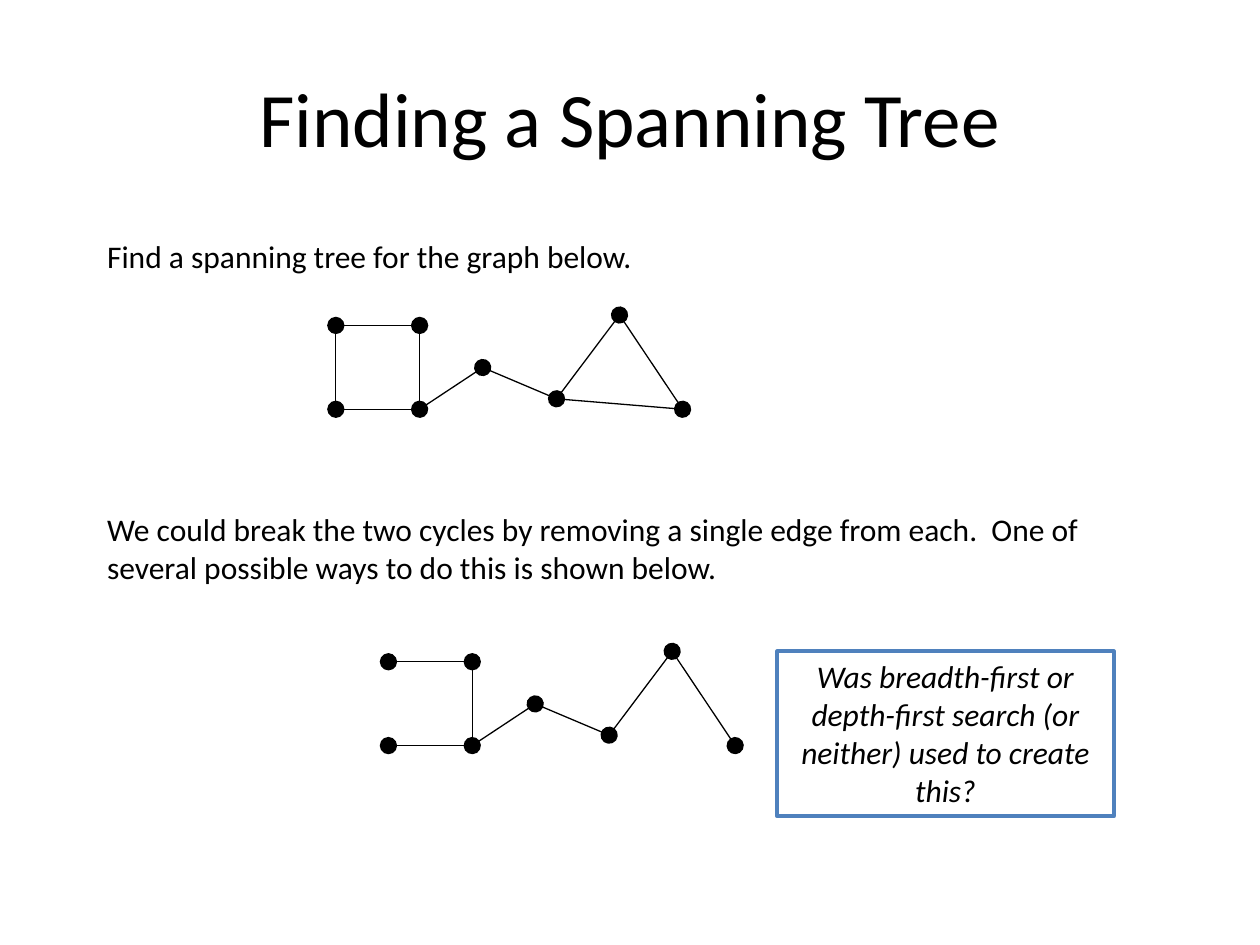
import pptx
import pptx.dml.color
import pptx.enum.shapes
import pptx.enum.text
import pptx.oxml.ns
import pptx.util
from lxml import etree

Cm = pptx.util.Cm
Pt = pptx.util.Pt
ALIGN = pptx.enum.text.PP_ALIGN
ANCHOR = pptx.enum.text.MSO_ANCHOR

COLORS = {"ink": "000000", "paper": "FFFFFF", "frame": "4F81BD"}
FONT = "Calibri"

VERTICES = {
    "top_left": (0, 0),
    "top_right": (1.69, 0),
    "bottom_left": (0, 1.69),
    "bottom_right": (1.69, 1.69),
    "bridge": (2.96, 0.85),
    "hub": (4.45, 1.48),
    "apex": (5.72, -0.21),
    "corner": (6.99, 1.69),
}
TREE_EDGES = [
    ("apex", "hub"),
    ("bridge", "hub"),
    ("bottom_right", "bridge"),
    ("bottom_left", "bottom_right"),
    ("apex", "corner"),
    ("top_left", "top_right"),
    ("top_right", "bottom_right"),
]
CYCLE_EDGES = [("top_left", "bottom_left"), ("hub", "corner")]


def rgb(name):
    return pptx.dml.color.RGBColor.from_string(COLORS[name])


def write(shape, text, size, align=ALIGN.LEFT, anchor=ANCHOR.TOP, italic=False):
    frame = shape.text_frame
    frame.word_wrap = True
    frame.vertical_anchor = anchor
    paragraph = frame.paragraphs[0]
    paragraph.text = text
    paragraph.alignment = align
    paragraph.font.name = FONT
    paragraph.font.size = Pt(size)
    paragraph.font.italic = italic
    paragraph.font.color.rgb = rgb("ink")


def add_text(slide, text, box, size, **style):
    shape = slide.shapes.add_textbox(*map(Cm, box))
    write(shape, text, size, **style)


def add_question(slide, text, box):
    shape = slide.shapes.add_shape(
        pptx.enum.shapes.MSO_SHAPE.RECTANGLE, *map(Cm, box))
    shape.shadow.inherit = False
    shape.fill.background()
    shape.line.color.rgb = rgb("frame")
    shape.line.width = Pt(2.25)
    write(shape, text, 18, align=ALIGN.CENTER, italic=True)


def add_edge(slide, start, end, dotted_ends):
    connector = slide.shapes.add_connector(
        pptx.enum.shapes.MSO_CONNECTOR.STRAIGHT, *map(Cm, start + end))
    connector.line.color.rgb = rgb("ink")
    connector.line.width = Pt(0.75)
    line = connector.line._get_or_add_ln()
    for tag in dotted_ends:
        etree.SubElement(line, pptx.oxml.ns.qn(tag), type="oval", w="lg", len="lg")
    etree.SubElement(connector._element.spPr, pptx.oxml.ns.qn("a:effectLst"))


def add_graph(slide, left, top, edges):
    dotted = set()
    for edge in edges:
        start, end = [(left + VERTICES[name][0], top + VERTICES[name][1])
                      for name in edge]
        dotted_ends = [tag for tag, name in zip(("a:headEnd", "a:tailEnd"), edge)
                       if name not in dotted]
        add_edge(slide, start, end, dotted_ends)
        dotted.update(edge)


def main():
    presentation = pptx.Presentation()
    presentation.slide_width = Cm(25.4)
    presentation.slide_height = Cm(19.05)
    slide = presentation.slides.add_slide(presentation.slide_layouts[6])
    slide.background.fill.solid()
    slide.background.fill.fore_color.rgb = rgb("paper")

    add_text(slide, "Finding a Spanning Tree", (1.27, 0.76, 22.86, 3.18), 44,
             align=ALIGN.CENTER, anchor=ANCHOR.MIDDLE)
    add_text(slide, "Find a spanning tree for the graph below.",
             (1.91, 4.65, 20.12, 1.45), 18)
    add_graph(slide, 6.77, 6.56, CYCLE_EDGES + TREE_EDGES)
    add_text(slide,
             "We could break the two cycles by removing a single edge from each.  "
             "One of several possible ways to do this is shown below.",
             (1.91, 10.16, 20.32, 1.8), 18)
    add_graph(slide, 7.83, 13.34, TREE_EDGES)
    add_question(slide,
                 "Was breadth-first or depth-first search (or neither) "
                 "used to create this?",
                 (15.67, 13.13, 6.78, 3.33))
    presentation.save("out.pptx")


if __name__ == "__main__":
    main()
